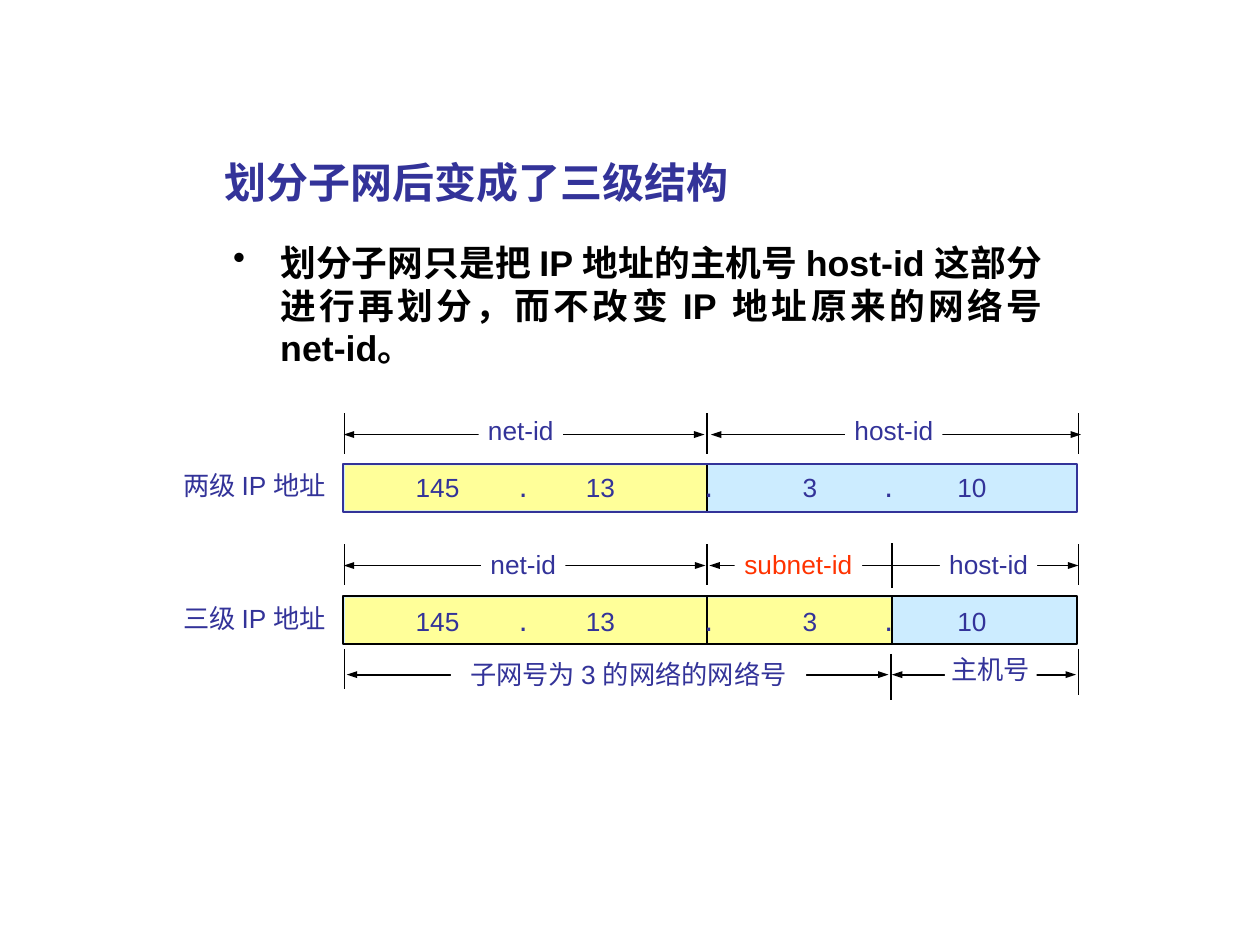
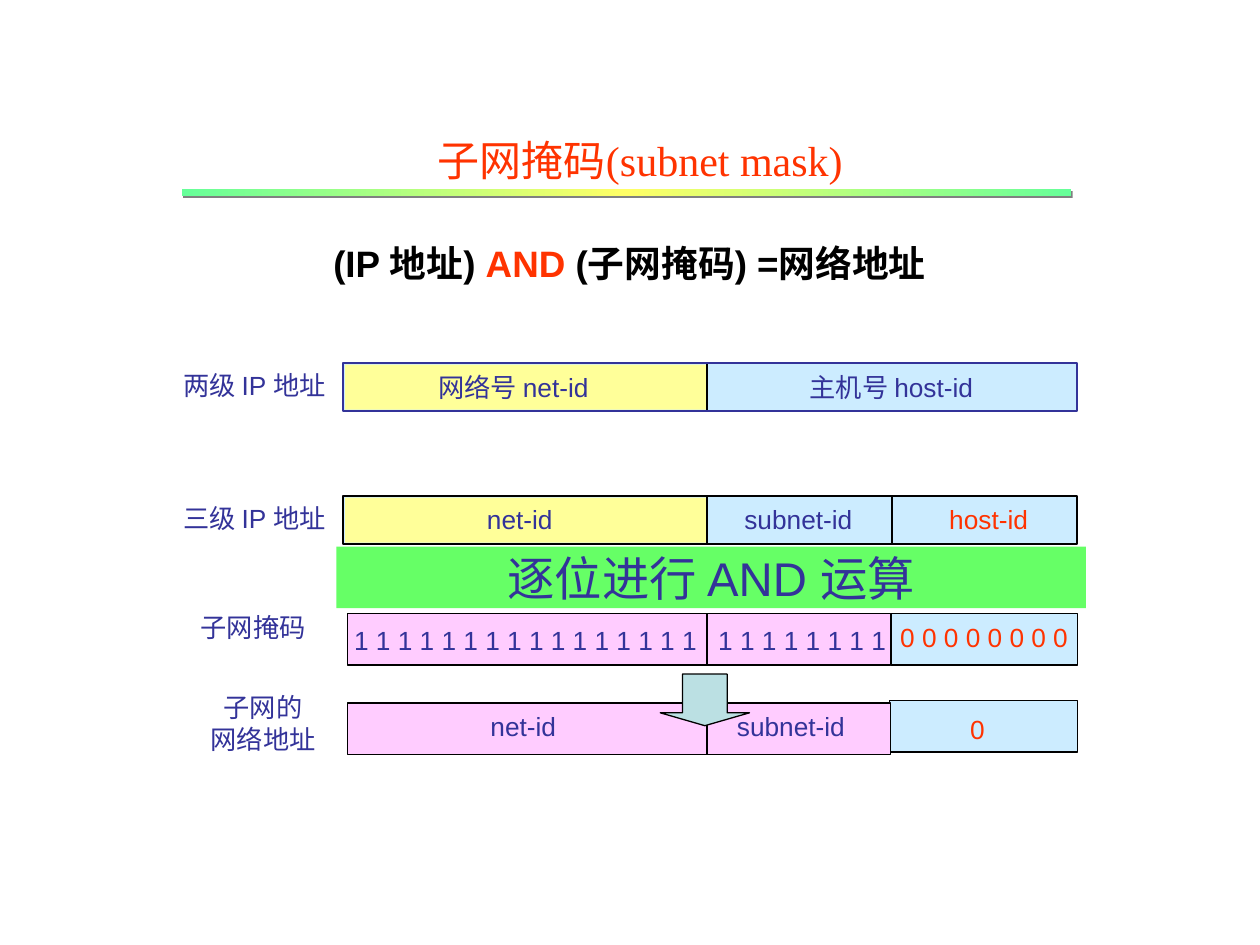
from dataclasses import dataclass

from lxml.etree import SubElement
from pptx import Presentation
from pptx.dml.color import RGBColor
from pptx.enum.shapes import MSO_CONNECTOR, MSO_SHAPE as Preset
from pptx.enum.text import MSO_ANCHOR as Anchor, PP_ALIGN as Align
from pptx.oxml.ns import qn
from pptx.util import Cm, Pt


@dataclass(frozen=True)
class Theme:
    ink: str = "333399"
    accent: str = "FF3300"
    black: str = "000000"
    white: str = "FFFFFF"
    network: str = "FFFF99"
    host: str = "CCECFF"
    mask: str = "FFCCFF"
    band: str = "66FF66"
    arrow: str = "BBE0E3"
    rule: tuple = ("66FF99", "FFFF66", "66FF99")
    rule_shadow: str = "808080"
    font: str = "Arial"
    heading_font: str = "Times New Roman"
    heading: float = 24
    formula: float = 21
    body: float = 20.4
    band_size: float = 27
    label: float = 15
    dot: float = 18
    thin: float = 0.75
    line: float = 1


THEME = Theme()

# Horizontal positions shared by the address bars, in cm
BAR_LEFT, BAR_RIGHT = 6.91, 21.72
NET_END, SUBNET_END = 14.25, 17.98
MASK_LEFT = 7.01
ROW_HEIGHT = 0.81


def rgb(colour):
    return RGBColor.from_string(colour)


def add_box(page, left, top, width, height, fill, line=None, weight=THEME.line,
            preset=Preset.RECTANGLE):
    box = page.shapes.add_shape(preset, Cm(left), Cm(top), Cm(width), Cm(height))
    box.shadow.inherit = False
    box.fill.solid()
    box.fill.fore_color.rgb = rgb(fill)
    if line:
        box.line.color.rgb = rgb(line)
        box.line.width = Pt(weight)
    else:
        box.line.fill.background()
    return box


def style(span, size, colour, font=THEME.font, bold=False):
    span.font.size = Pt(size)
    span.font.name = font
    span.font.bold = bold
    span.font.color.rgb = rgb(colour)


def set_frame(box, anchor, wrap, inset_x, inset_y):
    frame = box.text_frame
    frame.word_wrap = wrap
    frame.vertical_anchor = anchor
    frame.margin_left = frame.margin_right = Cm(inset_x)
    frame.margin_top = frame.margin_bottom = Cm(inset_y)
    return frame


def add_heading(page, left, top, width, height, text, size, colour, **look):
    box = page.shapes.add_textbox(Cm(left), Cm(top), Cm(width), Cm(height))
    frame = set_frame(box, Anchor.MIDDLE, True, 0.25, 0.13)
    frame.text = text
    para = frame.paragraphs[0]
    para.alignment = Align.CENTER
    style(para.runs[0], size, colour, **look)
    return para


def add_label(page, text, left, top, width, colour=THEME.ink, fill=None):
    """Small centred caption, one paragraph per line of text."""
    box = page.shapes.add_textbox(Cm(left), Cm(top), Cm(width), Cm(ROW_HEIGHT))
    if fill:
        box.fill.solid()
        box.fill.fore_color.rgb = rgb(fill)
    frame = set_frame(box, Anchor.TOP, False, 0, 0.1)
    frame.text = text
    for para in frame.paragraphs:
        para.alignment = Align.CENTER
        style(para.runs[0], THEME.label, colour)


def add_tabbed(page, parts, left, top, width, stops):
    """One line whose parts stand at the given tab stops."""
    box = page.shapes.add_textbox(Cm(left), Cm(top), Cm(width), Cm(0.94))
    para = set_frame(box, Anchor.TOP, True, 0.18, 0.1).paragraphs[0]
    tabs = SubElement(para._p.get_or_add_pPr(), qn("a:tabLst"))
    for stop in stops:
        SubElement(tabs, qn("a:tab"), pos=str(Cm(stop)), algn="l")
    for index, part in enumerate(parts):
        span = para.add_run()
        span.text = f"\t{part}" if index else part
        style(span, THEME.dot if part == "." else THEME.label, THEME.ink)


def add_line(page, x1, y1, x2, y2, weight=THEME.line, arrows=False):
    line = page.shapes.add_connector(MSO_CONNECTOR.STRAIGHT, Cm(x1), Cm(y1), Cm(x2), Cm(y2))
    line.line.color.rgb = rgb(THEME.black)
    line.line.width = Pt(weight)
    if arrows:
        for end in ("a:headEnd", "a:tailEnd"):
            SubElement(line.line._get_or_add_ln(), qn(end), type="triangle", w="sm")
    SubElement(line._element.spPr, qn("a:effectLst"))


def add_tick(page, x, top, bottom, weight=THEME.thin):
    add_line(page, x, top, x, bottom, weight)


def add_span(page, start, end, y):
    add_line(page, start, y, end, y, arrows=True)


def add_address_bar(page, name, top, outline, network_end, dividers):
    add_box(page, BAR_LEFT, top, BAR_RIGHT - BAR_LEFT, 0.97, THEME.host, outline)
    left = BAR_LEFT + 0.05
    add_box(page, left, top + 0.03, network_end - 0.02 - left, 0.91, THEME.network)
    for x in dividers:
        add_tick(page, x, top + 0.02, top + 0.95, THEME.line)
    add_label(page, name, 3.3, top + 0.02, 3.66)


def add_octets(page, top):
    add_tabbed(page, ["145", ".", "13", "."], 8.2, top, 6.4, [2.08, 3.43, 5.82])
    add_tabbed(page, ["3", ".", "10"], 16, top, 4.1, [1.65, 3.12])


def add_mask_bar(page, top, host_left, host_top):
    for left, y, right, fill in ((host_left, host_top, BAR_RIGHT, THEME.host),
                                 (MASK_LEFT, top, 17.96, THEME.mask)):
        add_box(page, left, y, right - left, 1.04, fill, THEME.black, THEME.thin)
    add_tick(page, NET_END, top, top + 1.04, THEME.line)


def add_bullet(page, text):
    box = page.shapes.add_textbox(Cm(4.45), Cm(4.72), Cm(16.81), Cm(2.9))
    frame = set_frame(box, Anchor.TOP, True, 0.25, 0.13)
    frame.text = text
    para = frame.paragraphs[0]
    para.alignment = Align.JUSTIFY
    para.space_before = Pt(6)
    style(para.runs[0], THEME.body, THEME.black, bold=True)
    props = para._p.get_or_add_pPr()
    props.set("marL", str(Cm(0.95)))
    props.set("indent", str(-Cm(0.95)))
    SubElement(props, qn("a:buChar"), char="•")


def add_gradient_rule(page):
    rule = add_box(page, 3.66, 3.81, 17.93, 0.15, THEME.rule[0])
    rule.fill.gradient()
    rule.fill.gradient_angle = 0
    props = rule._element.spPr
    stops = props.find(qn("a:gradFill")).find(qn("a:gsLst"))
    for stop in list(stops):
        stops.remove(stop)
    for index, colour in enumerate(THEME.rule):
        stop = SubElement(stops, qn("a:gs"), pos=str(index * 50000))
        SubElement(stop, qn("a:srgbClr"), val=colour)
    shadow = SubElement(props.find(qn("a:effectLst")), qn("a:outerShdw"), blurRad="0",
                        dist=str(Pt(1.4)), dir="2700000", algn="ctr", rotWithShape="0")
    SubElement(shadow, qn("a:srgbClr"), val=THEME.rule_shadow)


def add_band(page, text):
    band = add_box(page, 6.78, 11.02, 15.11, 1.24, THEME.band)
    frame = set_frame(band, Anchor.MIDDLE, False, 0.25, 0.13)
    frame.text = text
    para = frame.paragraphs[0]
    para.alignment = Align.CENTER
    style(para.runs[0], THEME.band_size, THEME.ink)


def build_three_levels(page):
    add_heading(page, 3.76, 2.77, 11.71, 1.8, "划分子网后变成了三级结构",
                THEME.heading, THEME.ink, bold=True)
    add_bullet(page, "划分子网只是把 IP 地址的主机号 host-id 这部分进行再划分，"
                     "而不改变 IP 地址原来的网络号 net-id。")

    add_address_bar(page, "两级 IP 地址", 9.35, THEME.ink, NET_END, [NET_END])
    add_octets(page, 9.3)
    add_address_bar(page, "三级 IP 地址", 12.02, THEME.black, SUBNET_END,
                    [NET_END, SUBNET_END])
    add_octets(page, 12)

    for start, end, y in ((6.93, 14.2, 8.76), (14.33, 21.79, 8.76),
                          (6.93, 14.22, 11.4), (14.3, 21.74, 11.4),
                          (6.99, 17.91, 13.6), (17.98, 21.69, 13.6)):
        add_span(page, start, end, y)
    for top in (8.33, 10.97):
        for x in (6.94, NET_END, 21.74):
            add_tick(page, x, top, top + 0.83)
    add_tick(page, SUBNET_END, 10.95, 11.86)
    add_tick(page, 6.94, 13.08, 13.89)
    add_tick(page, 17.96, 13.18, 14.12, THEME.line)
    add_tick(page, 21.74, 13.08, 14.02, THEME.line)

    for text, left, top, width, colour in (
            ("net-id", 9.65, 8.26, 1.7, THEME.ink),
            ("host-id", 17.04, 8.26, 1.96, THEME.ink),
            ("net-id", 9.7, 10.95, 1.7, THEME.ink),
            ("subnet-id", 14.81, 10.95, 2.57, THEME.accent),
            ("host-id", 18.95, 10.95, 1.96, THEME.ink),
            ("子网号为 3 的网络的网络号", 9.09, 13.18, 7.16, THEME.ink),
            ("主机号", 19.05, 13.06, 1.85, THEME.ink)):
        add_label(page, text, left, top, width, colour, THEME.white)


def build_subnet_mask(page):
    add_heading(page, 5.05, 2.39, 15.72, 1.65, "子网掩码(subnet mask)",
                THEME.heading, THEME.accent, font=THEME.heading_font)
    add_gradient_rule(page)
    formula = add_heading(page, 4.6, 4.11, 16.18, 2.39, "(IP 地址) ",
                          THEME.formula, THEME.black, bold=True)
    for text, colour in (("AND", THEME.accent), (" (子网掩码) =网络地址", THEME.black)):
        span = formula.add_run()
        span.text = text
        style(span, THEME.formula, colour, bold=True)

    add_address_bar(page, "两级 IP 地址", 7.32, THEME.ink, NET_END, [NET_END])
    add_address_bar(page, "三级 IP 地址", 10, THEME.black, NET_END,
                    [NET_END, SUBNET_END])
    add_band(page, "逐位进行 AND 运算")
    add_mask_bar(page, 12.37, 17.96, 12.37)
    add_tabbed(page, [" ".join("1" * 16), " ".join("1" * 8)], 6.96, 12.48, 11.3, [7.34])
    add_mask_bar(page, 14.17, 17.93, 14.12)

    for text, left, top, width, colour in (
            ("网络号 net-id", 8.51, 7.39, 3.68, THEME.ink),
            ("主机号 host-id", 16, 7.39, 3.94, THEME.ink),
            ("net-id", 9.63, 10.05, 1.7, THEME.ink),
            ("subnet-id", 14.81, 10.05, 2.57, THEME.ink),
            ("host-id", 18.95, 10.05, 1.96, THEME.accent),
            ("子网掩码", 3.86, 12.22, 2.49, THEME.ink),
            (" ".join("0" * 8), 17.96, 12.43, 3.76, THEME.accent),
            ("子网的\n网络地址", 4.06, 13.84, 2.49, THEME.ink),
            ("net-id", 9.7, 14.22, 1.7, THEME.ink),
            ("subnet-id", 14.66, 14.22, 2.57, THEME.ink),
            ("0", 19.36, 14.27, 0.69, THEME.accent)):
        add_label(page, text, left, top, width, colour)
    add_box(page, 13.31, 13.59, 1.8, 1.04, THEME.arrow, THEME.black, THEME.thin,
            Preset.DOWN_ARROW).adjustments[1] = 0.25


def main():
    deck = Presentation()
    deck.slide_width, deck.slide_height = Cm(25.4), Cm(19.05)
    blank = deck.slide_layouts[6]
    for build in (build_three_levels, build_subnet_mask):
        build(deck.slides.add_slide(blank))
    deck.save("out.pptx")


if __name__ == "__main__":
    main()
